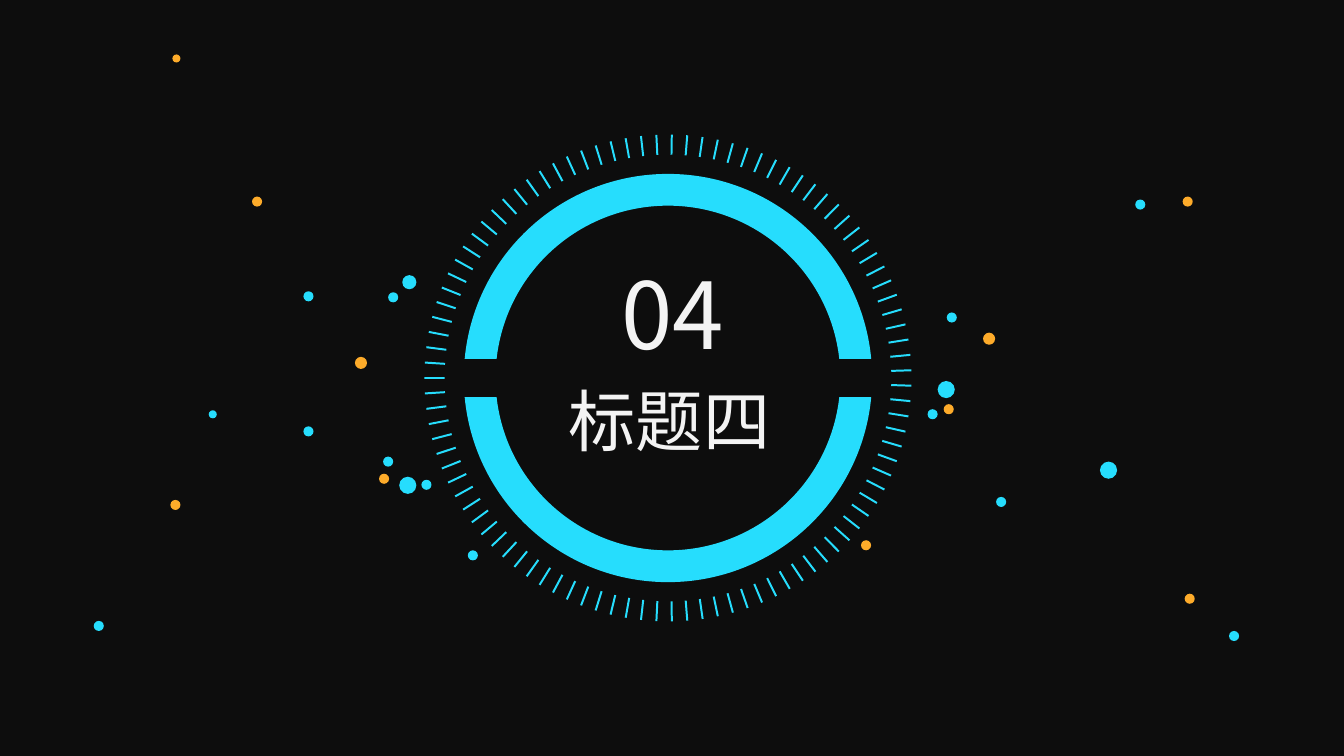
from math import asin, cos, pi, radians, sin, tan

from lxml import etree
from pptx import Presentation
from pptx.dml.color import RGBColor
from pptx.enum.shapes import MSO_SHAPE
from pptx.enum.text import MSO_AUTO_SIZE, PP_ALIGN
from pptx.oxml.ns import qn
from pptx.util import Inches, Pt

OVAL, RECT = MSO_SHAPE.OVAL, MSO_SHAPE.RECTANGLE
CENTER = PP_ALIGN.CENTER
GROW = MSO_AUTO_SIZE.SHAPE_TO_FIT_TEXT

COLS, ROWS = 1333, 750  # grid of hundredths of an inch
FONT = "Noto Sans CJK SC"
COLORS = {"back": "0D0D0D", "cyan": "26DDFD", "gold": "FDAB2A", "text": "F3F3F3"}

HUB = (662.5, 375)
TICKS = 99
ORBIT = 231.5
OUTER, INNER = 202.5, 171
SLOT = 19  # half the height of the slot that splits the ring

# Colour and size of the dots, then the column and row of each one
DOTS = {
    ("gold", 8): [(171, 54)],
    ("gold", 10): [(250, 195), (169, 496), (376, 470), (936, 401),
                   (1173, 195), (1175, 589), (854, 536)],
    ("gold", 12): [(352, 354), (975, 330)],
    ("cyan", 8): [(207, 407)],
    ("cyan", 10): [(301, 289), (385, 290), (301, 423), (380, 453),
                   (418, 476), (464, 546), (920, 406), (939, 310),
                   (93, 616), (1126, 198), (988, 493), (1219, 626)],
    ("cyan", 14): [(399, 273)],
    ("cyan", 17): [(396, 473), (930, 378), (1091, 458)],
}


def grid(cells):
    return Inches(cells / 100)


def tint(name):
    return RGBColor.from_string(COLORS[name])


def paint(shape, color):
    shape.shadow.inherit = False
    shape.fill.solid()
    shape.fill.fore_color.rgb = tint(color)
    shape.line.fill.background()


def add_form(slide, kind, box, color, turn=0):
    shape = slide.shapes.add_shape(kind, *map(grid, box))
    shape.rotation = turn
    paint(shape, color)


def add_ticks(slide):
    wide, tall = 2, 20
    for i in range(TICKS):
        turn = (270 + i * 360 / TICKS) % 360
        x = HUB[0] + ORBIT * sin(radians(turn))
        y = HUB[1] - ORBIT * cos(radians(turn))
        add_form(slide, RECT, (x - wide / 2, y - tall / 2, wide, tall), "cyan", turn)


def arc(radius, side):
    """Seven points of two Bezier curves from right to left; side is -1 for the top."""
    start = asin(SLOT / radius)
    sweep = pi / 2 - start
    pull = 4 / 3 * tan(sweep / 4)
    spots = []
    for t in (start, pi / 2, pi - start):
        spots += [(cos(t) + k * sin(t), sin(t) - k * cos(t)) for k in (pull, 0, -pull)]
    return [(grid(HUB[0] + radius * x), grid(HUB[1] + side * radius * y))
            for x, y in spots[1:-1]]


def bend(lines):
    """Turn three straight segments into one curve."""
    curve = etree.Element(qn("a:cubicBezTo"))
    lines[0].addprevious(curve)
    for line in lines:
        curve.append(line[0])
        line.getparent().remove(line)


def add_ring(slide):
    halves = [arc(OUTER, side) + arc(INNER, side)[::-1] for side in (-1, 1)]
    top, base = halves
    pen = slide.shapes.build_freeform(*top[0])
    pen.add_line_segments(top[1:], close=True)
    pen.move_to(*base[0])
    pen.add_line_segments(base[1:], close=True)
    ring = pen.convert_to_shape()
    lines = list(ring._element.iter(qn("a:lnTo")))
    for half in (lines[:13], lines[13:]):
        for first in (0, 3, 7, 10):
            bend(half[first:first + 3])
    paint(ring, "cyan")


def add_label(slide, box, text, size):
    frame = slide.shapes.add_textbox(*map(grid, box)).text_frame
    frame.word_wrap = True
    frame.auto_size = GROW
    line = frame.paragraphs[0]
    line.alignment = CENTER
    run = line.add_run()
    run.text = text
    font = run.font
    font.size = Pt(size)
    font.color.rgb = tint("text")
    font.name = FONT
    props = run._r.get_or_add_rPr()
    etree.SubElement(props, qn("a:ea")).set("typeface", FONT)


def main():
    deck = Presentation()
    deck.slide_width, deck.slide_height = grid(COLS), grid(ROWS)
    slide = deck.slides.add_slide(deck.slide_layouts[6])
    slide.background.fill.solid()
    slide.background.fill.fore_color.rgb = tint("back")

    for (color, size), spots in DOTS.items():
        for x, y in spots:
            add_form(slide, OVAL, (x, y, size, size), color)
    add_ring(slide)
    add_ticks(slide)
    add_label(slide, (550, 250, 234, 121), "04", 66)
    add_label(slide, (447, 371, 434, 91), "标题四", 48)
    deck.save("out.pptx")


if __name__ == "__main__":
    main()
